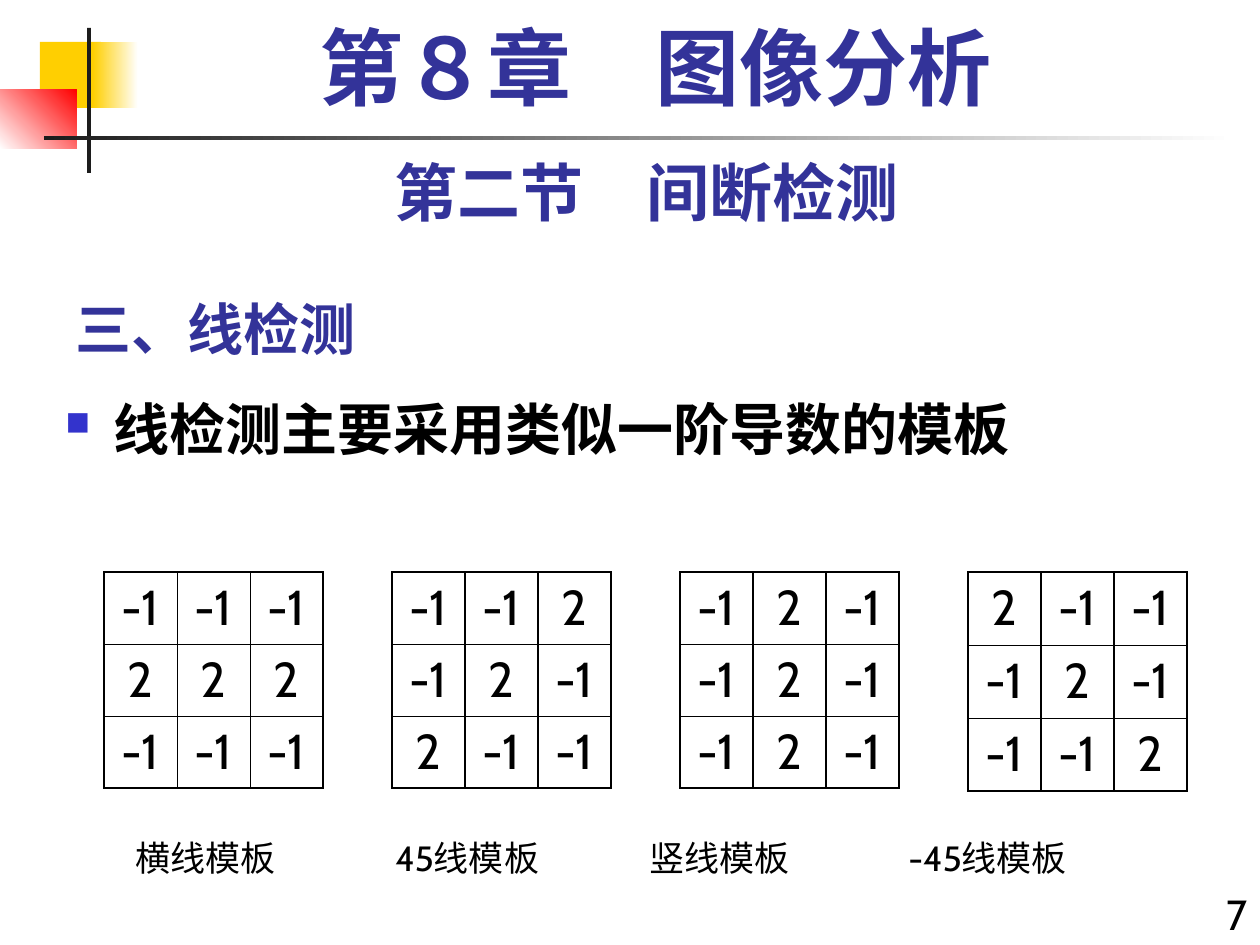
"""Build the line detection slide with its four mask tables."""
from lxml.etree import SubElement
from pptx import Presentation
from pptx.dml.color import RGBColor
from pptx.enum.shapes import MSO_SHAPE
from pptx.enum.text import MSO_ANCHOR, PP_ALIGN
from pptx.oxml.ns import qn
from pptx.util import Emu, Pt

SCALE = 914400 / 126
COLORS = {
    "gold": "FFCF01", "red": "FF0000", "dark": "1C1C1C", "white": "FFFFFF",
    "navy": "333399", "blue": "3333CC", "black": "000000",
}
CJK, LATIN, SERIF = "Noto Sans CJK SC", "Cabin", "Times New Roman"
THICK, THIN = 1.08, 0.45
MASKS = [
    ([[-1, -1, -1], [2, 2, 2], [-1, -1, -1]], 72, THIN),
    ([[-1, -1, 2], [-1, 2, -1], [2, -1, -1]], 72, THICK),
    ([[-1, 2, -1], [-1, 2, -1], [-1, 2, -1]], 72, THICK),
    ([[2, -1, -1], [-1, 2, -1], [-1, -1, 2]], 73, THICK),
]


def px(n):
    return Emu(round(n * SCALE))


def rgb(name):
    return RGBColor.from_string(COLORS[name])


def add(parent, tag, **attrs):
    return SubElement(parent, qn(tag), {k: str(v) for k, v in attrs.items()})


def block(slide, box, *tones, angle=0):
    shape = slide.shapes.add_shape(MSO_SHAPE.RECTANGLE, *map(px, box))
    shape.shadow.inherit = False
    shape.line.fill.background()
    if len(tones) == 1:
        shape.fill.solid()
        shape.fill.fore_color.rgb = rgb(tones[0])
        return
    shape.fill.gradient()
    shape.fill.gradient_angle = angle
    for stop, tone in zip(shape.fill.gradient_stops, tones):
        stop.color.rgb = rgb(tone)


def style(para, size, face, tone="black", bold=False, align=PP_ALIGN.LEFT):
    para.alignment = align
    font = para.font
    font.size, font.name, font.bold = Pt(size), face, bold
    font.color.rgb = rgb(tone)
    add(para._p.pPr.find(qn("a:defRPr")), "a:ea", typeface=CJK)


def bullet(para, indent):
    props = para._p.get_or_add_pPr()
    props.set("marL", str(px(indent)))
    props.set("indent", str(px(-indent)))
    add(add(props, "a:buClr"), "a:srgbClr", val=COLORS["blue"])
    add(props, "a:buSzPct", val=60000)
    add(props, "a:buChar", char="■")


def tabs(para, stops):
    group = add(para._p.get_or_add_pPr(), "a:tabLst")
    for stop in stops:
        add(group, "a:tab", pos=px(stop), algn="l")


def label(slide, box, text, size, face, indent=0, stops=(), space=None,
          anchor=MSO_ANCHOR.TOP, **look):
    frame = slide.shapes.add_textbox(*map(px, box)).text_frame
    frame.word_wrap = True
    frame.vertical_anchor = anchor
    para = frame.paragraphs[0]
    para.text = text
    if space:
        para.line_spacing = space
    if indent:
        bullet(para, indent)
    if stops:
        tabs(para, stops)
    style(para, size, face, **look)


def border(cell, widths):
    props = cell._tc.get_or_add_tcPr()
    for i, (side, width) in enumerate(zip("LRTB", widths)):
        line = props.makeelement(qn(f"a:ln{side}"), {"w": str(Pt(width))})
        add(add(line, "a:solidFill"), "a:srgbClr", val=COLORS["black"])
        props.insert(i, line)


def mask(slide, left, top, rows, high, inner, wide=73):
    count = len(rows)
    shape = slide.shapes.add_table(
        count, count, px(left), px(top), px(wide * count), px(high * count))
    table = shape.table
    table.first_row = table.horz_banding = False
    for col in table.columns:
        col.width = px(wide)
    across = [THICK] + [inner] * (count - 1) + [THICK]
    down = [THICK] + [THIN] * (count - 1) + [THICK]
    for r, row in enumerate(rows):
        table.rows[r].height = px(high)
        for c, value in enumerate(row):
            cell = table.cell(r, c)
            cell.fill.background()
            cell.text = str(value)
            style(cell.text_frame.paragraphs[0], 28, LATIN,
                  align=PP_ALIGN.CENTER)
            border(cell, across[c:c + 2] + down[r:r + 2])


def main():
    deck = Presentation()
    deck.slide_width, deck.slide_height = px(1260), px(945)
    slide = deck.slides.add_slide(deck.slide_layouts[6])

    block(slide, (40, 42, 61, 66), "gold")
    block(slide, (93, 42, 45, 66), "gold", "white")
    block(slide, (0, 90, 77, 59), "white", "red", angle=45)
    block(slide, (87, 28, 4, 145), "dark")
    block(slide, (44, 136, 1191, 4), "dark", "white")

    head = {"tone": "navy", "bold": True}
    label(slide, (63, 273, 609, 95), "三、线检测", 32, CJK,
          anchor=MSO_ANCHOR.BOTTOM, **head)
    label(slide, (1176, 882, 84, 74), "7", 24, LATIN, align=PP_ALIGN.RIGHT)
    label(slide, (63, 147, 1166, 88), "第二节　间断检测", 36, LATIN,
          align=PP_ALIGN.CENTER, **head)
    label(slide, (53, 388, 1207, 557), "线检测主要采用类似一阶导数的模板",
          32, CJK, indent=48, bold=True)
    label(slide, (84, 21, 1144, 105), "第８章　图像分析", 48, SERIF,
          space=0.9, align=PP_ALIGN.CENTER, **head)

    for i, (rows, high, inner) in enumerate(MASKS):
        mask(slide, 104 + 288 * i, 572, rows, high, inner)
    names = ["横线模板", "45线模板", "竖线模板", "-45线模板"]
    label(slide, (123, 830, 1081, 55), "\t".join(names), 20, LATIN,
          stops=(260, 514, 773))
    deck.save("out.pptx")


if __name__ == "__main__":
    main()
